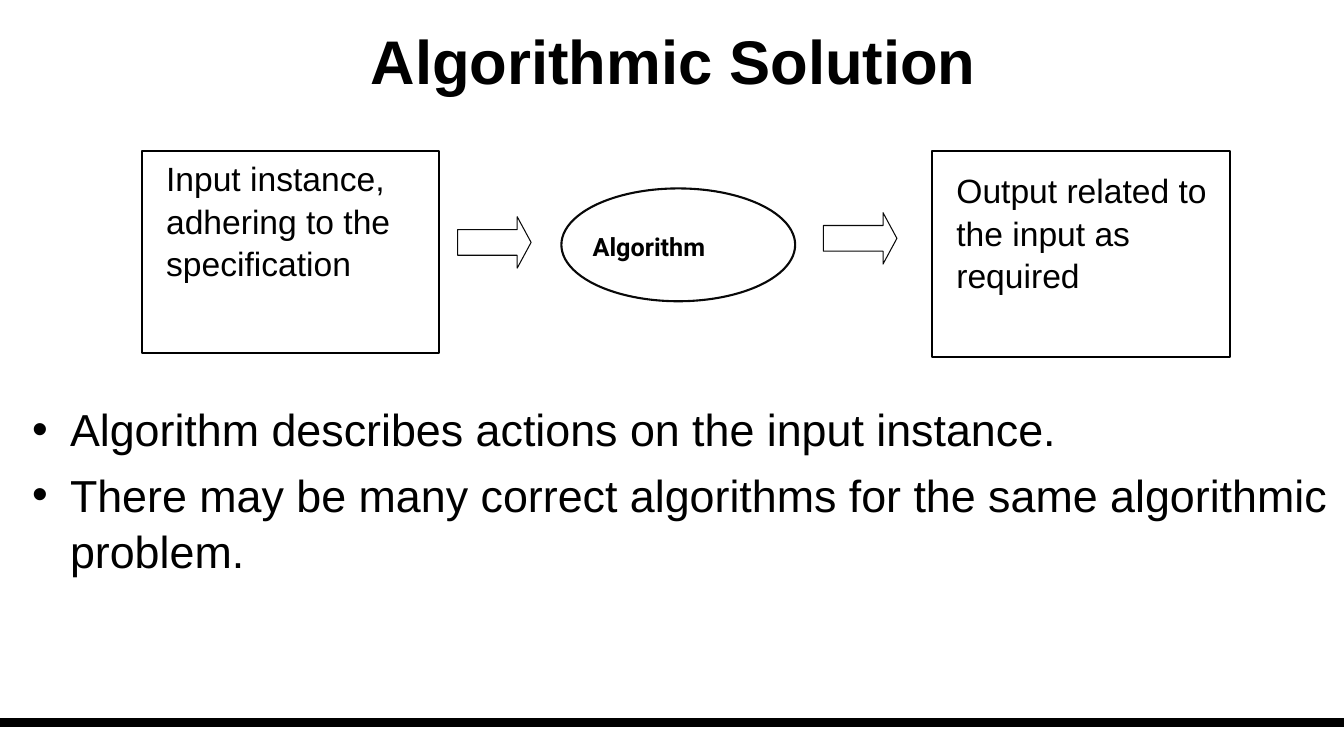
from dataclasses import dataclass

import lxml.etree
import pptx
import pptx.dml.color
import pptx.enum.shapes
import pptx.enum.text
import pptx.oxml.ns
import pptx.util

Pt = pptx.util.Pt
ShapeKind = pptx.enum.shapes.MSO_SHAPE

COLORS = {"text": "000000", "box": "000000", "flow": "080808", "rule": "000000"}
SLIDE_WIDTH, SLIDE_HEIGHT = 960, 540
LINE_SPACING = 1.05


@dataclass
class Area:
    left: float
    top: float
    width: float
    height: float

    def lengths(self) -> list:
        return [Pt(value) for value in (self.left, self.top, self.width, self.height)]


@dataclass
class Outline:
    kind: int
    area: Area
    color: str
    line_width: float
    adjustments: tuple = ()


@dataclass
class Label:
    text: str
    area: Area
    size: float
    font: str = "Arial"
    bold: bool = False


ARROW_HEAD = (0.5, 0.27)
OUTLINES = [
    Outline(ShapeKind.RECTANGLE, Area(101.5, 108, 212.4, 144), "box", 1.5),
    Outline(ShapeKind.RIGHT_ARROW, Area(326.9, 154.8, 52.5, 36.7), "flow", 0.75, ARROW_HEAD),
    Outline(ShapeKind.OVAL, Area(401, 134.6, 167, 80.6), "flow", 1.5),
    Outline(ShapeKind.RIGHT_ARROW, Area(588.2, 151.9, 52.5, 36.7), "flow", 0.75, ARROW_HEAD),
    Outline(ShapeKind.RECTANGLE, Area(666, 108, 212.4, 146.9), "box", 1.5),
]
LABELS = [
    Label("Input instance, adhering to the specification", Area(111.6, 108, 203.8, 123.8), 24),
    Label("Algorithm", Area(416.2, 160.6, 105.1, 28.8), 18, "Roboto", True),
    Label("Output related to the input as required", Area(676.1, 116.6, 203.8, 94.3), 24),
]
TITLE = Label("Algorithmic Solution", Area(2.9, 1.4, 956.9, 82.8), 44, bold=True)
BULLETS = [
    "Algorithm describes actions on the input instance.",
    "There may be many correct algorithms for the same algorithmic problem.",
]
BULLET_AREA = Area(15.8, 281.5, 943.2, 229.7)


def rgb(name: str) -> pptx.dml.color.RGBColor:
    return pptx.dml.color.RGBColor.from_string(COLORS[name])


def place(shape, area: Area) -> None:
    shape.left, shape.top, shape.width, shape.height = area.lengths()


def write(paragraph, label: Label) -> None:
    run = paragraph.add_run()
    run.text = label.text
    run.font.name = label.font
    run.font.size = Pt(label.size)
    run.font.bold = label.bold
    run.font.color.rgb = rgb("text")


def fit_frame(frame) -> None:
    frame.word_wrap = True
    frame.auto_size = pptx.enum.text.MSO_AUTO_SIZE.NONE


def add_outline(slide, outline: Outline) -> None:
    shape = slide.shapes.add_shape(outline.kind, *outline.area.lengths())
    shape.shadow.inherit = False
    shape.fill.background()
    shape.line.color.rgb = rgb(outline.color)
    shape.line.width = Pt(outline.line_width)
    for index, value in enumerate(outline.adjustments):
        shape.adjustments[index] = value


def add_label(slide, label: Label) -> None:
    frame = slide.shapes.add_textbox(*label.area.lengths()).text_frame
    fit_frame(frame)
    paragraph = frame.paragraphs[0]
    paragraph.line_spacing = LINE_SPACING
    write(paragraph, label)


def add_bottom_rule(slide) -> None:
    height = Pt(516.2)
    rule = slide.shapes.add_connector(
        pptx.enum.shapes.MSO_CONNECTOR.STRAIGHT, Pt(0), height, Pt(SLIDE_WIDTH), height)
    rule.line.color.rgb = rgb("rule")
    rule.line.width = Pt(6)
    lxml.etree.SubElement(rule._element.spPr, pptx.oxml.ns.qn("a:effectLst"))


def fill_title(title) -> None:
    place(title, TITLE.area)
    fit_frame(title.text_frame)
    title.text_frame.vertical_anchor = pptx.enum.text.MSO_ANCHOR.MIDDLE
    paragraph = title.text_frame.paragraphs[0]
    paragraph.alignment = pptx.enum.text.PP_ALIGN.CENTER
    write(paragraph, TITLE)


def fill_bullets(body) -> None:
    """Fill the list; bullets, indents and paragraph gaps come from the template."""
    place(body, BULLET_AREA)
    frame = body.text_frame
    fit_frame(frame)
    for index, text in enumerate(BULLETS):
        paragraph = frame.add_paragraph() if index else frame.paragraphs[0]
        paragraph.line_spacing = LINE_SPACING
        write(paragraph, Label(text, BULLET_AREA, 32))


def main() -> None:
    presentation = pptx.Presentation()
    presentation.slide_width = Pt(SLIDE_WIDTH)
    presentation.slide_height = Pt(SLIDE_HEIGHT)
    slide = presentation.slides.add_slide(presentation.slide_layouts[1])
    add_bottom_rule(slide)
    fill_title(slide.shapes.title)
    for outline in OUTLINES:
        add_outline(slide, outline)
    for label in LABELS:
        add_label(slide, label)
    fill_bullets(slide.placeholders[1])
    presentation.save("out.pptx")


if __name__ == "__main__":
    main()
